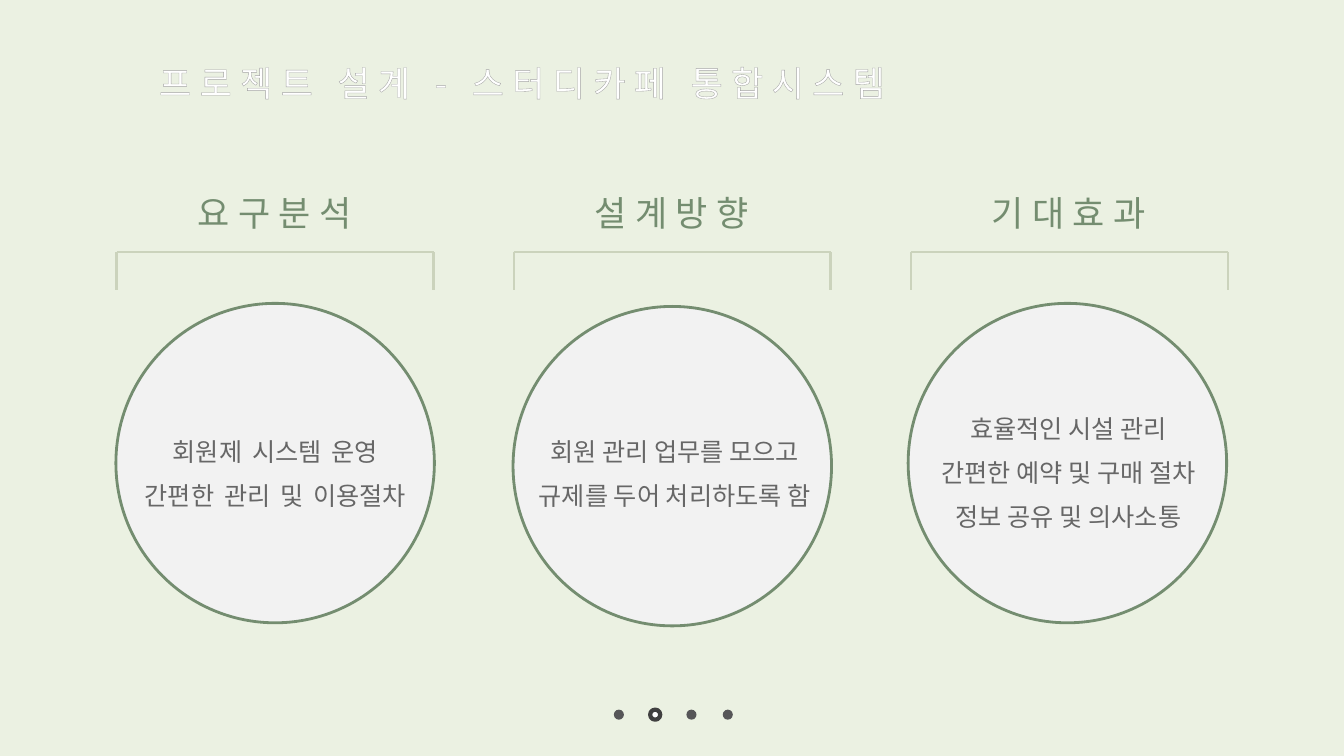
from lxml.etree import SubElement
from pptx import Presentation
from pptx.dml.color import RGBColor
from pptx.enum.shapes import MSO_CONNECTOR as Connector, MSO_SHAPE as Shape
from pptx.enum.text import MSO_ANCHOR as Anchor, MSO_AUTO_SIZE as AutoSize, PP_ALIGN as Align
from pptx.oxml.ns import qn
from pptx.util import Pt

FONT = "Noto Sans CJK KR"
COLORS = {
    "background": "EBF1E2", "circle": "F2F2F2", "green": "748D70",
    "dark green": "455C3F", "bracket": "CBD3BC", "body": "676767",
    "white": "FFFFFF", "gray": "A5A5A5", "dot": "565658", "ring": "404040",
}
TITLE = "프로젝트 설계 - 스터디카페 통합시스템"
TITLE_BOX = (76.3, 40.3, 593.3, 37.4)
COLUMNS = [
    {"heading": "요구분석", "circle": (82.8, 216.7), "body": (85.7, 307.4, 221.8, 61.2),
     "lines": ["회원제　시스템　운영", "간편한　관리　및　이용절차"]},
    {"heading": "설계방향", "circle": (366.5, 218.9), "body": (364.9, 307.4, 234, 61.2),
     "lines": ["회원 관리 업무를 모으고", "규제를 두어 처리하도록 함"]},
    {"heading": "기대효과", "circle": (648.7, 216.7), "body": (652.3, 291.6, 221.8, 91.4),
     "lines": ["효율적인 시설 관리", "간편한 예약 및 구매 절차", "정보 공유 및 의사소통"]},
]
CIRCLE_SIZE = (227.5, 228.2)
COLUMN_LEFT, COLUMN_STEP = 82.3, 283.6
HEADING_TOP, HEADING_SIZE = 133.2, (227.5, 36.7)
BRACKET_INSET, BRACKET_WIDTH, BRACKET_TOP, BRACKET_BOTTOM = 1.2, 226.4, 180, 207.4
DOT_LEFT, DOT_TOP, DOT_STEP, DOT_SIZE = 438.5, 506.9, 25.92, 7.2
DOT_COUNT, CURRENT_DOT = 4, 1
WIDE_SPACE = "　"
HEADING_STYLE = {"size": 25, "spacing": 600}
BODY_STYLE = {"size": 18, "color": "body"}


def color(name):
    """Return the named colour."""
    return RGBColor.from_string(COLORS[name])


def add_ellipse(slide, box, fill, line=None, width=0):
    """Draw a filled ellipse with an optional outline."""
    shape = slide.shapes.add_shape(Shape.OVAL, *map(Pt, box))
    shape.shadow.inherit = False
    shape.fill.solid()
    shape.fill.fore_color.rgb = color(fill)
    if line:
        shape.line.color.rgb = color(line)
        shape.line.width = Pt(width)
    else:
        shape.line.fill.background()


def add_line(slide, start, end):
    """Draw one straight bracket edge."""
    line = slide.shapes.add_connector(Connector.STRAIGHT, *map(Pt, start + end))
    line.line.color.rgb = color("bracket")
    line.line.width = Pt(2)
    SubElement(line._element.spPr, qn("a:effectLst"))


def add_bracket(slide, left):
    """Draw a bracket open at the bottom."""
    right = left + BRACKET_WIDTH
    add_line(slide, (left, BRACKET_TOP), (right, BRACKET_TOP))
    for side in (left, right):
        add_line(slide, (side, BRACKET_TOP), (side, BRACKET_BOTTOM))


def format_run(run, style):
    """Apply font, colour, letter spacing and text outline."""
    values = {"name": FONT, "size": Pt(style["size"])}
    for name, value in values.items():
        setattr(run.font, name, value)
    run.font.color.rgb = color(style["color"])
    properties = run._r.get_or_add_rPr()
    SubElement(properties, qn("a:ea"), typeface=FONT)
    if "spacing" in style:
        properties.set("spc", str(style["spacing"]))
    if "outline" in style:
        outline = SubElement(properties, qn("a:ln"), w=str(Pt(0.75)))
        fill = SubElement(outline, qn("a:solidFill"))
        SubElement(fill, qn("a:srgbClr"), val=COLORS[style["outline"]])
        properties.insert(0, outline)


def add_text(slide, box, lines, style, anchor=Anchor.TOP):
    """Add centred text with small-sized wide spaces."""
    frame = slide.shapes.add_textbox(*map(Pt, box)).text_frame
    settings = {"word_wrap": True, "auto_size": AutoSize.SHAPE_TO_FIT_TEXT,
                "vertical_anchor": anchor}
    for name, value in settings.items():
        setattr(frame, name, value)
    for number, line in enumerate(lines):
        paragraph = frame.add_paragraph() if number else frame.paragraphs[0]
        paragraph.alignment = Align.CENTER
        if number:
            paragraph.space_before = Pt(10)
        for position, word in enumerate(line.split(WIDE_SPACE)):
            if position:
                gap = paragraph.add_run()
                gap.text = WIDE_SPACE
                format_run(gap, {**style, "size": 7})
            run = paragraph.add_run()
            run.text = word
            format_run(run, style)


def main():
    """Build the slide and save it."""
    presentation = Presentation()
    presentation.slide_width, presentation.slide_height = Pt(960), Pt(540)
    slide = presentation.slides.add_slide(presentation.slide_layouts[6])
    slide.background.fill.solid()
    slide.background.fill.fore_color.rgb = color("background")

    add_text(slide, TITLE_BOX, [TITLE],
             {**HEADING_STYLE, "color": "white", "outline": "gray"})
    for index, column in enumerate(COLUMNS):
        left = COLUMN_LEFT + index * COLUMN_STEP
        add_ellipse(slide, column["circle"] + CIRCLE_SIZE, "circle", "green", 2)
        add_bracket(slide, left + BRACKET_INSET)
        add_text(slide, (left, HEADING_TOP) + HEADING_SIZE, [column["heading"]],
                 {**HEADING_STYLE, "color": "green", "outline": "dark green"})
        add_text(slide, column["body"], column["lines"], BODY_STYLE, Anchor.MIDDLE)
    for index in range(DOT_COUNT):
        box = (DOT_LEFT + index * DOT_STEP, DOT_TOP, DOT_SIZE, DOT_SIZE)
        look = ("white", "ring", 3) if index == CURRENT_DOT else ("dot",)
        add_ellipse(slide, box, *look)
    presentation.save("out.pptx")


if __name__ == "__main__":
    main()
